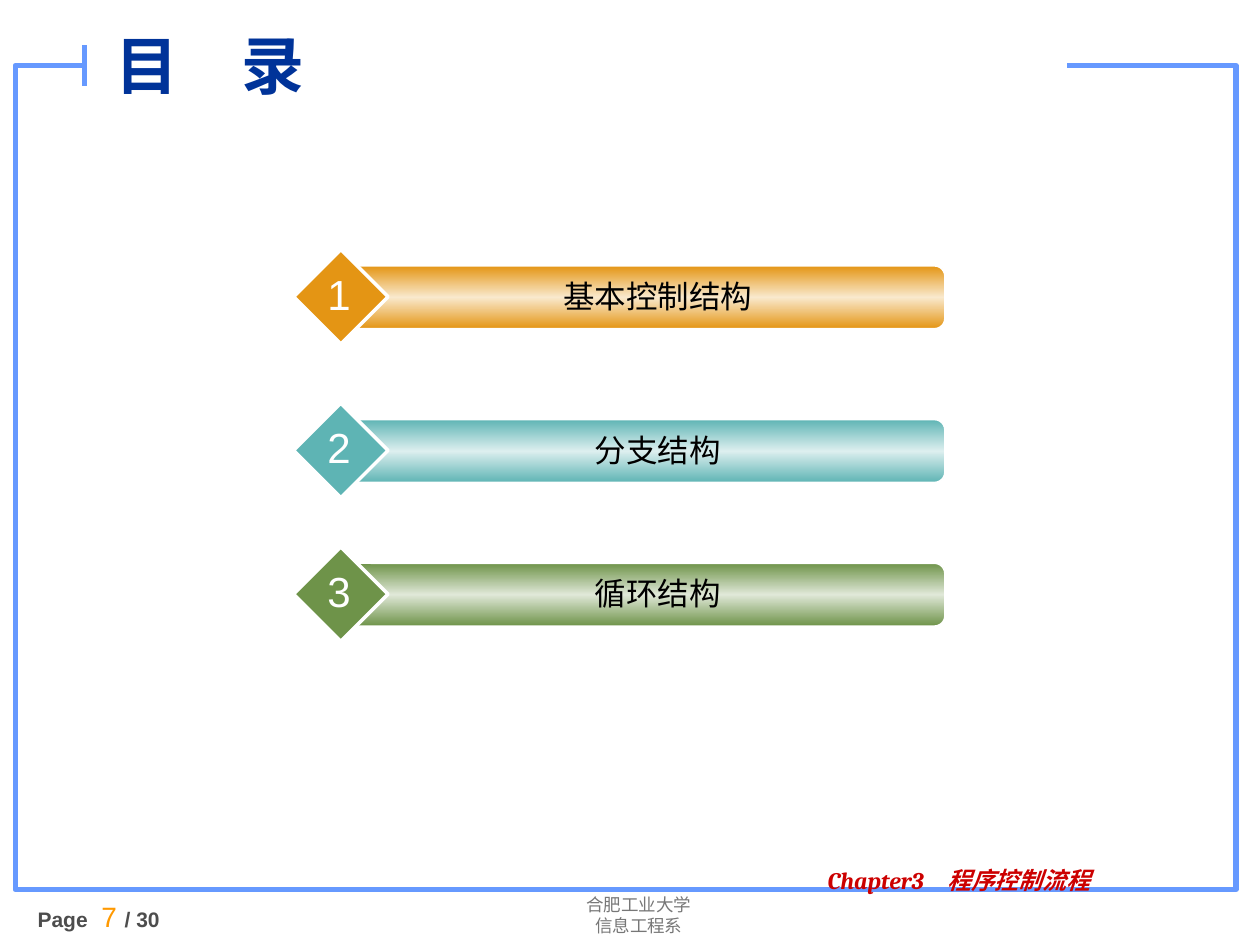
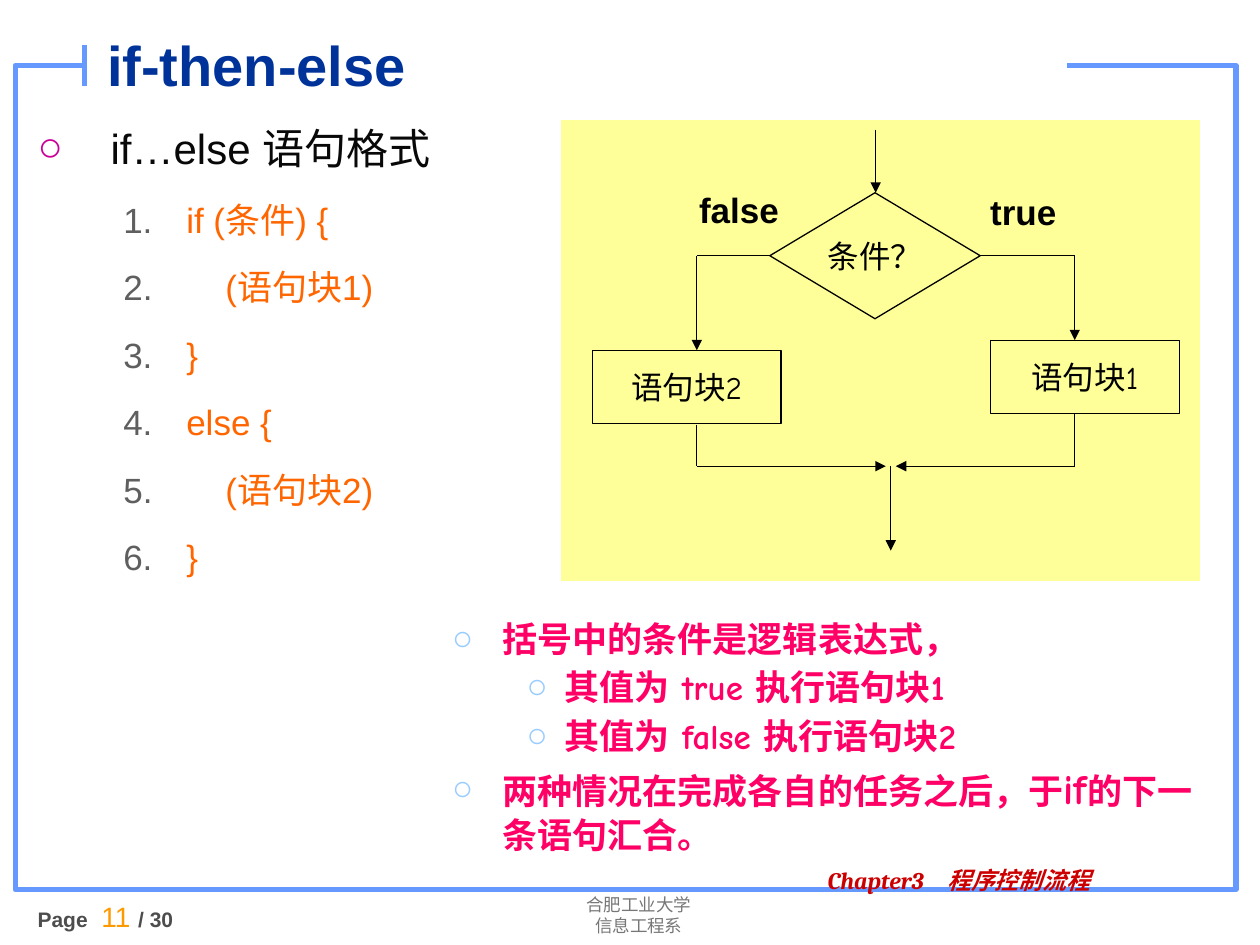
from copy import deepcopy
from dataclasses import dataclass
from typing import NamedTuple

from lxml.etree import SubElement
from pptx import Presentation
from pptx.dml.color import RGBColor
from pptx.enum.shapes import MSO_CONNECTOR, MSO_SHAPE
from pptx.enum.text import MSO_ANCHOR, PP_ALIGN
from pptx.oxml.ns import qn
from pptx.util import Inches, Pt

WHITE = RGBColor(0xFF, 0xFF, 0xFF)
BLACK = RGBColor(0x00, 0x00, 0x00)
FRAME_BLUE = RGBColor(0x66, 0x99, 0xFF)
TITLE_BLUE = RGBColor(0x00, 0x33, 0x99)
DEPARTMENT_GREY = RGBColor(0x77, 0x77, 0x77)
PAGE_GREY = RGBColor(0x4D, 0x4D, 0x4D)
PAGE_ORANGE = RGBColor(0xFF, 0x99, 0x00)
CHAPTER_RED = RGBColor(0xCC, 0x00, 0x00)
ORANGE = RGBColor(0xE4, 0x95, 0x14)
PALE_ORANGE = RGBColor(0xF9, 0xE9, 0xCD)
TEAL = RGBColor(0x5E, 0xB4, 0xB4)
PALE_TEAL = RGBColor(0xDD, 0xEF, 0xEF)
GREEN = RGBColor(0x6E, 0x93, 0x49)
PALE_GREEN = RGBColor(0xE0, 0xE8, 0xD8)
TEXT_BLACK = RGBColor(0x08, 0x08, 0x08)
CODE_ORANGE = RGBColor(0xFF, 0x66, 0x00)
NUMBER_GREY = RGBColor(0x5F, 0x5F, 0x5F)
BULLET_MAGENTA = RGBColor(0xCC, 0x00, 0x99)
BULLET_BLUE = RGBColor(0x99, 0xCC, 0xFF)
NOTE_PINK = RGBColor(0xFF, 0x00, 0x66)
CHART_YELLOW = RGBColor(0xFF, 0xFF, 0x99)


@dataclass(frozen=True)
class Style:
    size: float
    color: RGBColor
    font: str = "Arial"
    bold: bool = False
    italic: bool = False
    east_asian: str = "Arial"


class Box(NamedTuple):
    left: float
    top: float
    width: float
    height: float

    def lengths(self):
        return [Inches(v) for v in self]


class Bullet(NamedTuple):
    """A list marker; an empty char means automatic numbers."""
    char: str
    color: RGBColor
    margin: float
    hanging: float
    level: int = 0


class AgendaItem(NamedTuple):
    number: str
    label: str
    top: float
    color: RGBColor
    pale: RGBColor
    font: str = "Arial"


class Line(NamedTuple):
    x1: float
    y1: float
    x2: float
    y2: float
    arrow: bool = False


DEPARTMENT = Style(10, DEPARTMENT_GREY, "Karla", east_asian="Karla")
PAGE = Style(12, PAGE_GREY, bold=True)
PAGE_NUMBER = Style(16, PAGE_ORANGE)
CHAPTER = Style(13.6, CHAPTER_RED, "Cambria", True, True)
HEADING = Style(24, TEXT_BLACK)
CODE = Style(20, CODE_ORANGE)
NOTE = Style(20, NOTE_PINK, "Comic Neue", True, east_asian="Comic Neue")
NODE = Style(18, BLACK, "Comic Neue", east_asian="Comic Neue")
BRANCH = Style(20, BLACK, bold=True)

AGENDA = [
    AgendaItem("1", "基本控制结构", 1.98, ORANGE, PALE_ORANGE),
    AgendaItem("2", "分支结构", 3.2, TEAL, PALE_TEAL, "Noto Sans CJK SC"),
    AgendaItem("3", "循环结构", 4.34, GREEN, PALE_GREEN),
]

HEADING_BULLET = Bullet("○", BULLET_MAGENTA, 0.58, 0.58)
CODE_NUMBER = Bullet("", NUMBER_GREY, 1.18, 0.5, 1)
NESTED_NUMBER = Bullet("", NUMBER_GREY, 1.49, 0.81, 1)
NOTE_BULLET = Bullet("○", BULLET_BLUE, 0.4, 0.4)
SUBNOTE_BULLET = Bullet("○", BULLET_BLUE, 0.89, 0.3, 1)

CODE_LINES = [
    ("if (条件) {", CODE_NUMBER),
    ("(语句块1)", NESTED_NUMBER),
    ("}", CODE_NUMBER),
    ("else {", CODE_NUMBER),
    ("(语句块2)", NESTED_NUMBER),
    ("}", CODE_NUMBER),
]
NOTES = [
    ("括号中的条件是逻辑表达式，", NOTE_BULLET),
    ("其值为 true 执行语句块1", SUBNOTE_BULLET),
    ("其值为 false 执行语句块2", SUBNOTE_BULLET),
]

FALSE_X, TRUE_X, ENTRY_X, EXIT_X = 5.53, 8.53, 6.95, 7.07
BRANCH_Y, MERGE_Y = 2.03, 3.7
FLOW_LINES = [
    Line(ENTRY_X, 1.03, ENTRY_X, 1.53, True),
    Line(FALSE_X, BRANCH_Y, 6.11, BRANCH_Y),
    Line(7.78, BRANCH_Y, TRUE_X, BRANCH_Y),
    Line(FALSE_X, BRANCH_Y, FALSE_X, 2.78, True),
    Line(TRUE_X, BRANCH_Y, TRUE_X, 2.7, True),
    Line(FALSE_X, 3.37, FALSE_X, MERGE_Y),
    Line(TRUE_X, 3.28, TRUE_X, MERGE_Y),
    Line(FALSE_X, MERGE_Y, 7.03, MERGE_Y, True),
    Line(TRUE_X, MERGE_Y, 7.11, MERGE_Y, True),
    Line(EXIT_X, MERGE_Y, EXIT_X, 4.37, True),
]


def set_font(font, style: Style) -> None:
    font.size = Pt(style.size)
    font.color.rgb = style.color
    font.bold = style.bold
    font.italic = style.italic
    font.name = style.font
    SubElement(font._rPr, qn("a:ea"), typeface=style.east_asian)


def write(p, text: str, style: Style, align=PP_ALIGN.LEFT) -> None:
    p.add_run().text = text
    p.alignment = align
    set_font(p.font, style)


def add_bullet(p, bullet: Bullet) -> None:
    p.level = bullet.level
    p_pr = p._p.get_or_add_pPr()
    p_pr.set("marL", str(Inches(bullet.margin)))
    p_pr.set("indent", str(-Inches(bullet.hanging)))
    color = SubElement(p_pr, qn("a:buClr"))
    SubElement(color, qn("a:srgbClr"), val=str(bullet.color))
    SubElement(p_pr, qn("a:buFont"), typeface="Arial")
    if bullet.char:
        SubElement(p_pr, qn("a:buChar"), char=bullet.char)
    else:
        SubElement(p_pr, qn("a:buAutoNum"), type="arabicPeriod")


def add_list_item(tf, text: str, bullet: Bullet, style: Style,
                  line_spacing: float, before: float):
    """Write into the empty first paragraph, or append a spaced one."""
    p = tf.paragraphs[0]
    if p.runs:
        p = tf.add_paragraph()
        p.space_before = Pt(before)
    p.line_spacing = line_spacing
    add_bullet(p, bullet)
    write(p, text, style)
    return p


def add_text_frame(s, box: Box, wrap: bool = True):
    tf = s.shapes.add_textbox(*box.lengths()).text_frame
    tf.word_wrap = wrap
    return tf


def add_box(s, kind, box: Box, fill=None, line=None, width: float = 0.75):
    sp = s.shapes.add_shape(kind, *box.lengths())
    sp.shadow.inherit = False
    if fill is not None:
        sp.fill.solid()
        sp.fill.fore_color.rgb = fill
    if line is None:
        sp.line.fill.background()
    else:
        sp.line.color.rgb = line
        sp.line.width = Pt(width)
    return sp


def add_line(s, line: Line, color=BLACK, width: float = 0.75) -> None:
    ends = [Inches(v) for v in line[:4]]
    cxn = s.shapes.add_connector(MSO_CONNECTOR.STRAIGHT, *ends)
    cxn.line.color.rgb = color
    cxn.line.width = Pt(width)
    if line.arrow:
        SubElement(cxn.line._get_or_add_ln(), qn("a:tailEnd"), type="triangle")
    SubElement(cxn._element.spPr, qn("a:effectLst"))


def add_frame(s) -> None:
    """Draw the blue border, open at the top where the title stands."""
    left, top, right, bottom = 0.12, 0.52, 9.81, 7.06
    fb = s.shapes.build_freeform(Inches(0.67), Inches(top))
    corners = [(left, top), (left, bottom), (right, bottom), (right, top), (8.47, top)]
    fb.add_line_segments([(Inches(x), Inches(y)) for x, y in corners], close=False)
    sp = fb.convert_to_shape()
    sp.shadow.inherit = False
    sp.fill.background()
    sp.line.color.rgb = FRAME_BLUE
    sp.line.width = Pt(3)
    add_line(s, Line(0.67, 0.36, 0.67, 0.68), FRAME_BLUE, 3)


def add_slide(prs, title: str, box: Box, size: float, page: int):
    s = prs.slides.add_slide(prs.slide_layouts[5])
    sp = s.shapes.title
    sp.left, sp.top, sp.width, sp.height = box.lengths()
    sp.text_frame.vertical_anchor = MSO_ANCHOR.MIDDLE
    write(sp.text_frame.paragraphs[0], title, Style(size, TITLE_BLUE, bold=True))
    add_frame(s)

    tf = add_text_frame(s, Box(3.8, 7.05, 2.54, 0.44))
    write(tf.paragraphs[0], "合肥工业大学", DEPARTMENT, PP_ALIGN.CENTER)
    write(tf.add_paragraph(), "信息工程系", DEPARTMENT, PP_ALIGN.CENTER)

    p = add_text_frame(s, Box(0.2, 7.09, 1.81, 0.4)).paragraphs[0]
    for text, style in [("Page ", PAGE), (f" {page} ", PAGE_NUMBER), ("/ 30", PAGE)]:
        r = p.add_run()
        r.text = text
        set_font(r.font, style)

    p = add_text_frame(s, Box(6.47, 6.85, 3.07, 0.35)).paragraphs[0]
    p.line_spacing = 0.9
    write(p, "Chapter3　程序控制流程", CHAPTER)
    return s


def fill_band(sp, edge: RGBColor, middle: RGBColor) -> None:
    """Shade from edge to middle and back, top to bottom."""
    sp.fill.gradient()
    sp.fill.gradient_angle = 270
    stops = sp._element.spPr.find(".//" + qn("a:gsLst"))
    stops.insert(1, deepcopy(stops[0]))
    for i, (stop, color) in enumerate(zip(sp.fill.gradient_stops, (edge, middle, edge))):
        stop.position = i / 2
        stop.color.rgb = color


def add_agenda_item(s, item: AgendaItem) -> None:
    bar = add_box(s, MSO_SHAPE.ROUNDED_RECTANGLE,
                  Box(2.75, item.top + 0.13, 4.75, 0.5), line=WHITE, width=1)
    fill_band(bar, item.color, item.pale)
    add_box(s, MSO_SHAPE.DIAMOND, Box(2.33, item.top, 0.75, 0.75), item.color, WHITE, 2)
    tf = add_text_frame(s, Box(3, item.top + 0.17, 4.44, 0.4))
    label = Style(18, BLACK, item.font, east_asian=item.font)
    write(tf.paragraphs[0], item.label, label, PP_ALIGN.CENTER)
    tf = add_text_frame(s, Box(2.5, item.top + 0.1, 0.38, 0.5), wrap=False)
    write(tf.paragraphs[0], item.number, Style(24, WHITE), PP_ALIGN.CENTER)


def add_flowchart(s) -> None:
    add_box(s, MSO_SHAPE.RECTANGLE, Box(4.45, 0.95, 5.08, 3.67), CHART_YELLOW, WHITE)
    for kind, box, text in [
        (MSO_SHAPE.FLOWCHART_DECISION, Box(6.11, 1.53, 1.67, 1), "条件？"),
        (MSO_SHAPE.RECTANGLE, Box(4.7, 2.78, 1.5, 0.58), "语句块2"),
        (MSO_SHAPE.RECTANGLE, Box(7.86, 2.7, 1.5, 0.58), "语句块1"),
    ]:
        tf = add_box(s, kind, box, CHART_YELLOW, BLACK).text_frame
        tf.word_wrap = False
        write(tf.paragraphs[0], text, NODE, PP_ALIGN.CENTER)
    for line in FLOW_LINES:
        add_line(s, line)
    for box, text in [(Box(7.76, 1.46, 1.1, 0.44), "true"),
                      (Box(5.45, 1.45, 0.83, 0.44), "false")]:
        tf = add_box(s, MSO_SHAPE.RECTANGLE, box, CHART_YELLOW).text_frame
        tf.vertical_anchor = MSO_ANCHOR.TOP
        tf.margin_right = 0
        write(tf.paragraphs[0], text, BRANCH)


def main() -> None:
    prs = Presentation()
    prs.slide_width, prs.slide_height = Inches(10), Inches(7.5)

    s = add_slide(prs, "目　录", Box(0.82, 0.11, 4.49, 0.8), 36, 7)
    for item in AGENDA:
        add_agenda_item(s, item)

    s = add_slide(prs, "if-then-else", Box(0.75, 0.11, 6.77, 0.8), 32, 11)
    tf = add_text_frame(s, Box(0.2, 0.84, 4.68, 4.25))
    add_list_item(tf, "if…else 语句格式", HEADING_BULLET, HEADING, 1.2, 0)
    for text, bullet in CODE_LINES:
        add_list_item(tf, text, bullet, CODE, 1.4, 5)
    add_flowchart(s)
    tf = add_text_frame(s, Box(3.49, 4.85, 6.08, 2.13))
    for text, bullet in NOTES:
        add_list_item(tf, text, bullet, NOTE, 1, 3.7)
    p = add_list_item(tf, "两种情况在完成各自的任务之后，于", NOTE_BULLET, NOTE, 1, 3.7)
    r = p.add_run()
    r.text = "if"
    r.font.size = Pt(24)
    p.add_run().text = "的下一条语句汇合。"

    prs.save("out.pptx")


if __name__ == "__main__":
    main()
